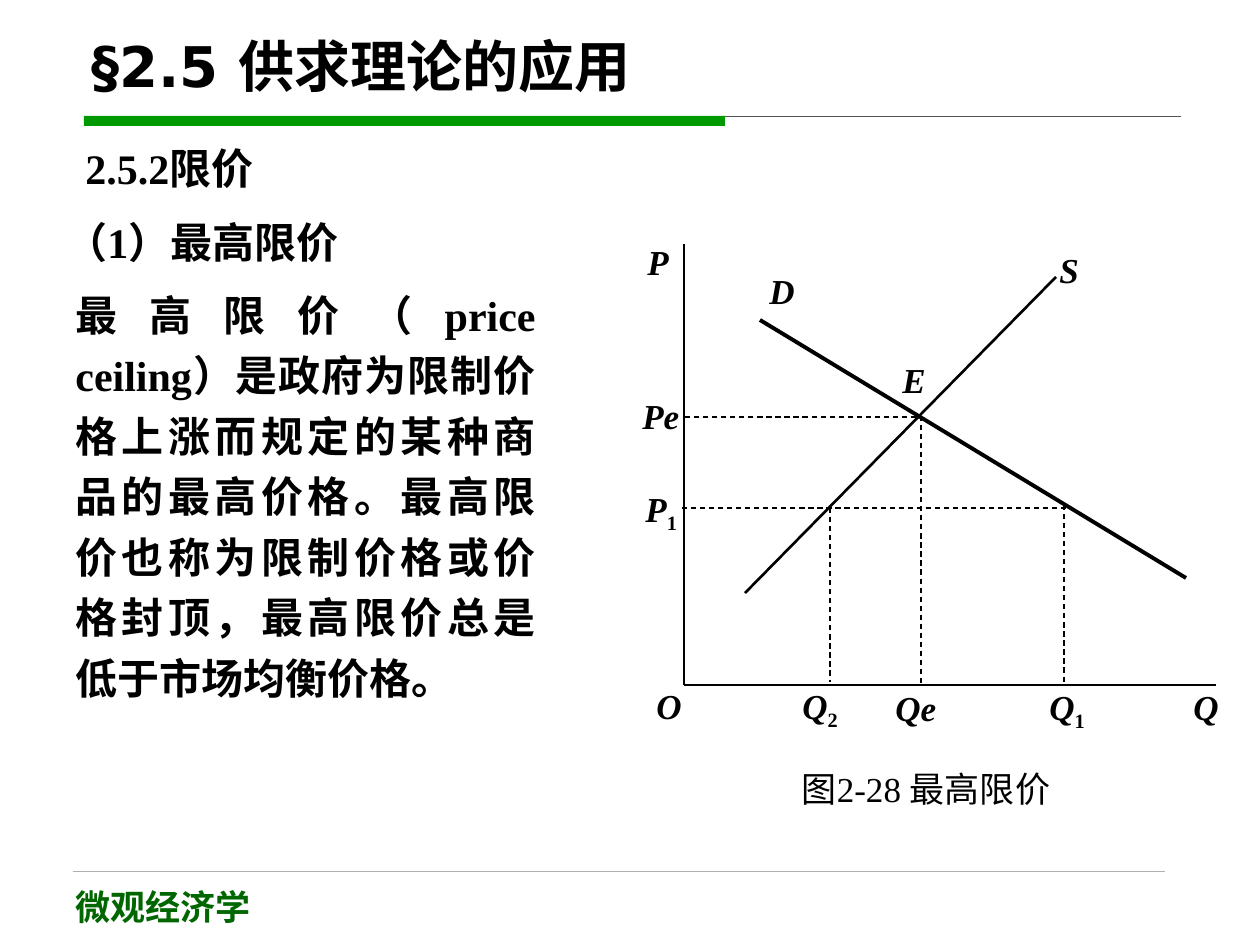
import pptx
import pptx.util
import pptx.dml.color
import pptx.enum.dml
import pptx.enum.shapes
import pptx.enum.text
import pptx.oxml.ns
import lxml.etree

PX = 914400 / 126
COLORS = {"ink": "000000", "bar": "009900", "footer": "006600",
          "header rule": "555555", "footer rule": "B0B0B0"}
SERIF, SANS = "Times New Roman", "DejaVu Sans"
ALIGN = pptx.enum.text.PP_ALIGN
FIT = pptx.enum.text.MSO_AUTO_SIZE


def px(*lengths):
    return [pptx.util.Emu(round(length * PX)) for length in lengths]


def color(name):
    return pptx.dml.color.RGBColor.from_string(COLORS[name])


def write(para, text, size, ink="ink", subscript="", **formats):
    """Add a formatted span, and an upright subscript when one is given."""
    values = {"name": SERIF, "bold": True, "size": pptx.util.Pt(size), **formats}
    for part in filter(None, (text, subscript)):
        span = para.add_run()
        span.text = part
        for name, value in values.items():
            setattr(span.font, name, value)
        span.font.color.rgb = color(ink)
        if part is subscript:
            span.font.italic = False
            span.font._element.set("baseline", "-25000")


def add_text(page, box, text, size, align=ALIGN.JUSTIFY, wrap=True, fit=FIT.SHAPE_TO_FIT_TEXT,
             spacing=None, **formats):
    frame = page.shapes.add_textbox(*px(*box)).text_frame
    frame.word_wrap = wrap
    frame.auto_size = fit
    para = frame.paragraphs[0]
    para.alignment = align
    para.line_spacing = spacing
    write(para, text, size, **formats)


def add_line(page, start, end, width=0.75, ink="ink", dashed=False):
    line = page.shapes.add_connector(pptx.enum.shapes.MSO_CONNECTOR.STRAIGHT, *px(*start, *end))
    line.line.color.rgb = color(ink)
    line.line.width = pptx.util.Pt(width)
    if dashed:
        line.line.dash_style = pptx.enum.dml.MSO_LINE.DASH
    lxml.etree.SubElement(line._element.spPr, pptx.oxml.ns.qn("a:effectLst"))


def add_header(page, left, top, width, height):
    # Rule with a thick green start
    rule = top + height - 10
    add_line(page, (left, rule), (left + width, rule), 0.5, "header rule")
    bar = page.shapes.add_shape(pptx.enum.shapes.MSO_SHAPE.RECTANGLE, *px(left, rule, 641, 10))
    bar.shadow.inherit = False
    bar.fill.solid()
    bar.fill.fore_color.rgb = color("bar")
    bar.line.fill.background()

    # Title
    title = page.shapes.title
    title.left, title.top, title.width, title.height = px(left - 5, top, width, 84)
    frame = title.text_frame
    frame.auto_size = FIT.NONE
    frame.vertical_anchor = pptx.enum.text.MSO_ANCHOR.BOTTOM
    frame.paragraphs[0].alignment = ALIGN.LEFT
    write(frame.paragraphs[0], "§2.5 供求理论的应用", 32, name=SANS)


def add_explanation(page, left, top):
    add_text(page, (left + 20, top, 231, 63), "2.5.2限价", 24)
    add_text(page, (left, top + 74, 338, 63), "（1）最高限价", 24)
    add_text(page, (left + 10, top + 137, 485, 436),
             "最高限价（price ceiling）是政府为限制价格上涨而规定的某种商品的最高价格。"
             "最高限价也称为限制价格或价格封顶，最高限价总是低于市场均衡价格。",
             24, spacing=1.2)


def add_diagram(page, left, top):
    axis_x, axis_y = 54, 451
    lines = [
        # Axes
        ((axis_x, axis_y), (586, axis_y), 0.75, False),
        ((axis_x, axis_y), (axis_x, 10), 0.75, False),
        # Demand and supply
        ((130, 86), (556, 344), 2.25, False),
        ((115, 359), (426, 43), 1.5, False),
        # Price ceiling and equilibrium guides
        ((52, 274), (442, 274), 0.75, True),
        ((434, 271), (434, axis_y), 0.75, True),
        ((200, 274), (200, 448), 0.75, True),
        ((291, 182), (291, axis_y), 0.75, True),
        ((286, 183), (axis_x, 183), 0.75, True),
    ]
    for start, end, width, dashed in lines:
        add_line(page, (left + start[0], top + start[1]), (left + end[0], top + end[1]),
                 width, dashed=dashed)

    # Labels: text, subscript, left, top, width
    labels = [
        ("O", "", 14, 444, 50), ("Q", "", 551, 445, 50), ("P", "", 5, 0, 47),
        ("D", "", 127, 29, 50), ("S", "", 417, 8, 44), ("E", "", 260, 118, 48),
        ("P", "1", 3, 247, 78), ("Q", "1", 407, 445, 78), ("Q", "2", 160, 444, 78),
        ("Pe", "", 0, 154, 62), ("Qe", "", 253, 446, 66),
    ]
    for text, subscript, x, y, width in labels:
        height = 60 if subscript else 55
        add_text(page, (left + x, top + y, width, height), text, 20,
                 wrap=bool(subscript), subscript=subscript, italic=True)

    # Caption
    add_text(page, (left + 194, top + 527, 204, 58), "图2-28 最高限价", 20,
             align=ALIGN.CENTER, wrap=False, fit=FIT.NONE, bold=False)


def add_footer(page, left, top, width):
    add_line(page, (left, top), (left + width, top), 0.25, "footer rule")
    add_text(page, (left - 10, top + 8, 315, 65), "微观经济学", 20,
             align=ALIGN.LEFT, fit=FIT.NONE, ink="footer", name=SANS)


def main():
    deck = pptx.Presentation()
    deck.slide_width, deck.slide_height = px(1260, 945)
    page = deck.slides.add_slide(deck.slide_layouts.get_by_name("Title Only"))
    add_header(page, 84, 21, 1097, 105)
    add_explanation(page, 53, 136)
    add_diagram(page, 630, 234)
    add_footer(page, 73, 871, 1092)
    deck.save("out.pptx")


if __name__ == "__main__":
    main()
